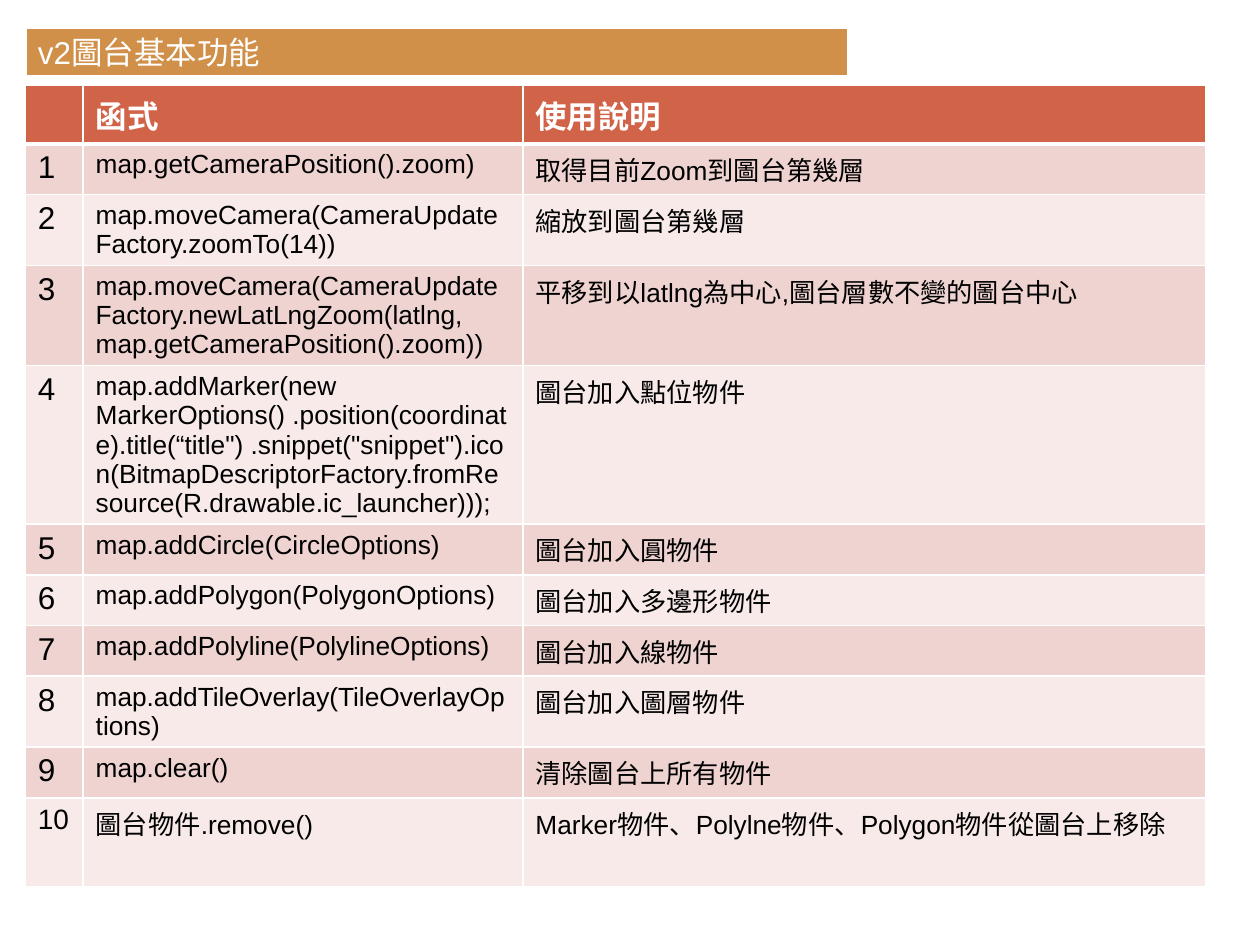
from lxml.etree import SubElement
from pptx import Presentation
from pptx.dml.color import RGBColor
from pptx.enum.text import MSO_ANCHOR, MSO_AUTO_SIZE, PP_ALIGN
from pptx.oxml.ns import qn
from pptx.util import Inches, Pt

WHITE = RGBColor(0xFF, 0xFF, 0xFF)
BLACK = RGBColor(0, 0, 0)
GOLD = RGBColor(0xD1, 0x90, 0x49)
RED = RGBColor(0xD1, 0x63, 0x49)
PINK = RGBColor(0xEE, 0xD3, 0xD0)
PALE = RGBColor(0xF7, 0xEA, 0xE9)
FONT = "Arial"

COLS = [0.46, 3.49, 5.42]
# least row heights; rows grow with their text
ROWS = [0.33, 0.37, 0.38, 0.79, 0.66, 0.26] + [0.36] * 5
HEAD = ["", "函式", "使用說明"]
CALLS = [
    ("map.getCameraPosition().zoom)", "取得目前Zoom到圖台第幾層"),
    ("map.moveCamera(CameraUpdateFactory.zoomTo(14))", "縮放到圖台第幾層"),
    ("map.moveCamera(CameraUpdateFactory.newLatLngZoom(latlng, "
     "map.getCameraPosition().zoom))",
     "平移到以latlng為中心,圖台層數不變的圖台中心"),
    ("map.addMarker(new MarkerOptions() .position(coordinate)"
     ".title(“title\") .snippet(\"snippet\").icon("
     "BitmapDescriptorFactory.fromResource(R.drawable.ic_launcher)));",
     "圖台加入點位物件"),
    ("map.addCircle(CircleOptions)", "圖台加入圓物件"),
    ("map.addPolygon(PolygonOptions)", "圖台加入多邊形物件"),
    ("map.addPolyline(PolylineOptions)", "圖台加入線物件"),
    ("map.addTileOverlay(TileOverlayOptions)", "圖台加入圖層物件"),
    ("map.clear()", "清除圖台上所有物件"),
    ("圖台物件.remove()", "Marker物件、Polylne物件、Polygon物件從圖台上移除"),
]


def add_run(para, text, size, color, bold=False):
    run = para.add_run()
    run.text = text
    font = run.font
    font.name, font.size, font.bold = FONT, Pt(size), bold
    font.color.rgb = color


def add_title(slide, box):
    title = slide.shapes.title
    title.left, title.top, title.width, title.height = map(Inches, box)
    title.fill.solid()
    title.fill.fore_color.rgb = GOLD
    title.line.color.rgb = WHITE
    title.line.width = Pt(2.5)
    title.shadow.inherit = False
    frame = title.text_frame
    frame.word_wrap = True
    frame.auto_size = MSO_AUTO_SIZE.NONE
    frame.vertical_anchor = MSO_ANCHOR.MIDDLE
    para = frame.paragraphs[0]
    para.alignment = PP_ALIGN.LEFT
    add_run(para, "v2圖台基本功能", 18, WHITE)


def set_edges(cell, top, base):
    """Draw white cell borders; top and base are widths in points."""
    props = cell._tc.get_or_add_tcPr()
    for side, width in zip("LRTB", (1, 1, top, base)):
        line = SubElement(props, qn(f"a:ln{side}"), w=str(Pt(width)))
        fill = SubElement(line, qn("a:solidFill"))
        SubElement(fill, qn("a:srgbClr"), val=str(WHITE))


def fill_row(table, row, texts, sizes, fill, color):
    head = row == 0
    for col, (text, size) in enumerate(zip(texts, sizes)):
        cell = table.cell(row, col)
        set_edges(cell, 3 if row == 1 else 1, 3 if head else 1)
        cell.fill.solid()
        cell.fill.fore_color.rgb = fill
        if text:
            add_run(cell.text_frame.paragraphs[0], text, size, color, head)


def add_calls(slide, box):
    """Place the table of map functions in the box."""
    frame = slide.shapes.add_table(len(ROWS), len(COLS), *map(Inches, box))
    table = frame.table
    for col, width in zip(table.columns, COLS):
        col.width = Inches(width)
    for row, high in zip(table.rows, ROWS):
        row.height = Inches(high)
    frame.height = Inches(box[3])
    fill_row(table, 0, HEAD, [18] * 3, RED, WHITE)
    for num, (call, use) in enumerate(CALLS, 1):
        sizes = [18 if num < 10 else 16, 15, 15]
        fill_row(table, num, [str(num), call, use], sizes,
                 PINK if num % 2 else PALE, BLACK)


def main():
    deck = Presentation()
    deck.slide_width, deck.slide_height = Inches(10), Inches(7.5)
    slide = deck.slides.add_slide(deck.slide_layouts[5])
    add_title(slide, (0.2, 0.21, 6.54, 0.4))
    add_calls(slide, (0.2, 0.68, sum(COLS), 6.17))
    deck.save("out.pptx")


if __name__ == "__main__":
    main()
